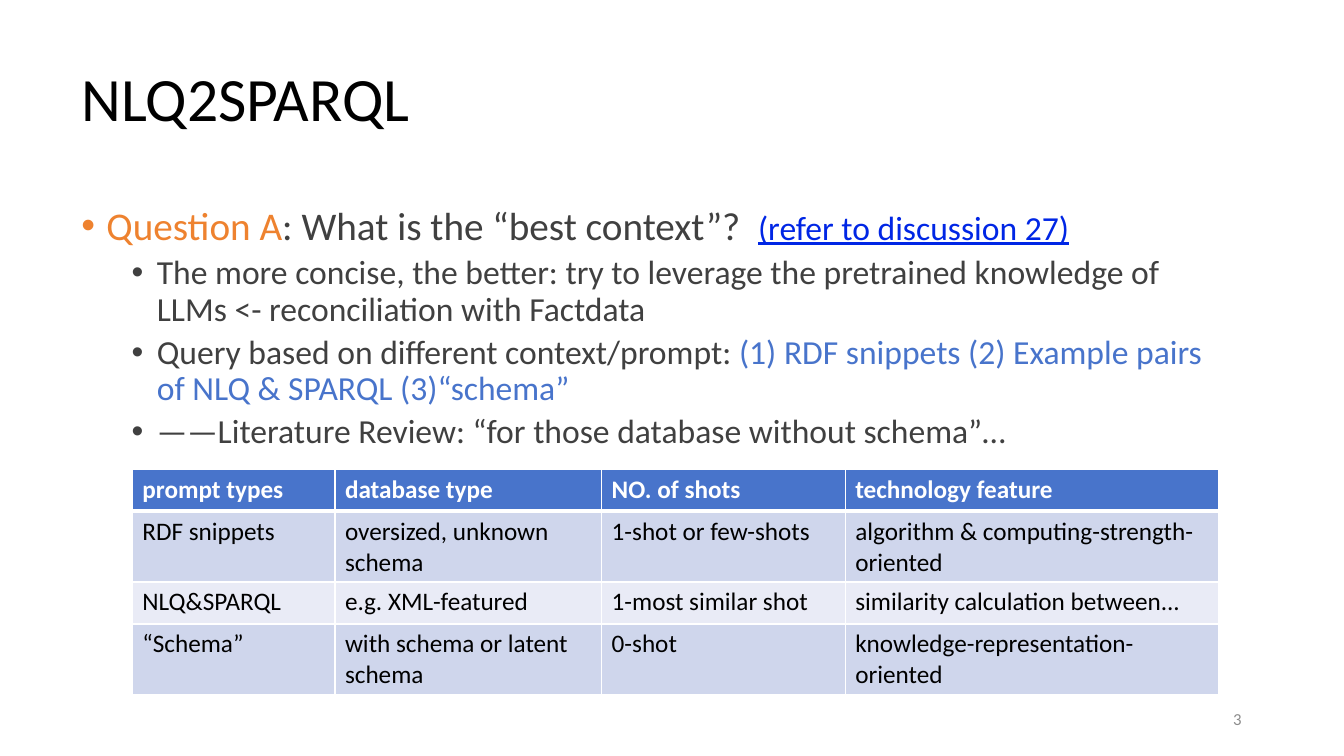
from pptx import Presentation
from pptx.dml.color import RGBColor
from pptx.enum.text import MSO_ANCHOR as Anchor, PP_ALIGN as Align
from pptx.oxml import parse_xml
from pptx.oxml.ns import nsdecls
from pptx.util import Pt

PX = 9525
BLACK, WHITE, GRAY, DARK = "000000", "FFFFFF", "8C8C8C", "404040"
ORANGE, BLUE, LINK = "EE822F", "4874CB", "0026E5"
BANDS = ["CFD6EC", "E9EBF6"]

BULLETS = [
    (0, [("Question A", 28, ORANGE), (": What is the “best context”?  ", 28, DARK),
         ("(refer to discussion 27)", 24, LINK)]),
    (1, [("The more concise, the better: try to leverage the pretrained knowledge of "
          "LLMs <- reconciliation with Factdata", 24, DARK)]),
    (1, [("Query based on different context/prompt: ", 24, DARK),
         ("(1) RDF snippets (2) Example pairs of NLQ & SPARQL (3)“schema”", 24, BLUE)]),
    (1, [("——Literature Review: “for those database without schema”…", 24, DARK)]),
]
PROMPT_TABLE = [
    ["prompt types", "database type", "NO. of shots", "technology feature"],
    ["RDF snippets", "oversized, unknown schema", "1-shot or few-shots",
     "algorithm & computing-strength-oriented"],
    ["NLQ&SPARQL", "e.g. XML-featured", "1-most similar shot",
     "similarity calculation between..."],
    ["“Schema”", "with schema or latent schema", "0-shot",
     "knowledge-representation-oriented"],
]


def color(value):
    """Turn a hex string into a colour."""
    return RGBColor.from_string(value)


class SlideBuilder:
    """Hold the style and the current slide, and add elements to it."""

    def __init__(self, slide, font_name):
        self.slide = slide
        self.font_name = font_name

    def style(self, font, size, value, bold=False):
        """Set the face, size, colour and weight of a font."""
        font.name = self.font_name
        font.size = Pt(size)
        font.bold = bold
        font.color.rgb = color(value)

    def text_frame(self, left, top, width, height, anchor):
        """Add a wrapping text box and return its frame."""
        box = self.slide.shapes.add_textbox(*(n * PX for n in (left, top, width, height)))
        frame = box.text_frame
        frame.word_wrap = True
        frame.vertical_anchor = anchor
        return frame

    def label(self, text, left, top, width, height, size, value, align=Align.LEFT):
        """Add one line of text, centred vertically."""
        paragraph = self.text_frame(left, top, width, height, Anchor.MIDDLE).paragraphs[0]
        paragraph.text = text
        paragraph.alignment = align
        paragraph.line_spacing = 0.9
        self.style(paragraph.font, size, value)

    def bullets(self, items, left, top, width, height):
        """Add a bulleted list of (level, runs) items."""
        frame = self.text_frame(left, top, width, height, Anchor.TOP)
        for index, (level, runs) in enumerate(items):
            paragraph = frame.add_paragraph() if index else frame.paragraphs[0]
            paragraph.level = level
            paragraph.line_spacing = 0.9
            paragraph.space_before = Pt(5 if level else 10)
            properties = paragraph._p.get_or_add_pPr()
            properties.set("marL", str((24 + 48 * level) * PX))
            properties.set("indent", str(-24 * PX))
            properties.append(parse_xml(f'<a:buFont {nsdecls("a")} typeface="Arial"/>'))
            properties.append(parse_xml(f'<a:buChar {nsdecls("a")} char="•"/>'))
            for text, size, value in runs:
                run = paragraph.add_run()
                run.text = text
                self.style(run.font, size, value)
                if value == LINK:
                    run.font.underline = True

    def borders(self, cell, bottom, top):
        """Draw white cell borders, with the given bottom and top widths in points."""
        properties = cell._tc.get_or_add_tcPr()
        for side, points in zip("LRTB", (1, 1, top, bottom)):
            properties.append(parse_xml(
                f'<a:ln{side} {nsdecls("a")} w="{Pt(points)}"><a:solidFill>'
                f'<a:srgbClr val="{WHITE}"/></a:solidFill></a:ln{side}>'))

    def table(self, rows, left, top, column_widths, row_height):
        """Add a table with a strong header and banded rows."""
        table = self.slide.shapes.add_table(
            len(rows), len(column_widths), left * PX, top * PX,
            sum(column_widths) * PX, len(rows) * row_height * PX).table
        table.first_row = table.horz_banding = False
        for column, width in zip(table.columns, column_widths):
            column.width = width * PX
        for row_index, texts in enumerate(rows):
            header = row_index == 0
            table.rows[row_index].height = row_height * PX
            for column_index, text in enumerate(texts):
                cell = table.cell(row_index, column_index)
                self.borders(cell, 3 if header else 1, 3 if row_index == 1 else 1)
                cell.fill.solid()
                cell.fill.fore_color.rgb = color(BLUE if header else BANDS[(row_index - 1) % 2])
                cell.text = text
                self.style(cell.text_frame.paragraphs[0].font, 18,
                           WHITE if header else BLACK, header)


def main():
    """Build the slide and save it."""
    presentation = Presentation()
    presentation.slide_width = 1280 * PX
    presentation.slide_height = 720 * PX
    slide = presentation.slides.add_slide(presentation.slide_layouts[6])
    builder = SlideBuilder(slide, "Calibri")
    builder.label("NLQ2SPARQL", 68, 27, 1104, 139, 44, BLACK)
    builder.bullets(BULLETS, 68, 192, 1104, 457)
    builder.table(PROMPT_TABLE, 126, 447, [193, 254, 232, 356], 40)
    builder.label("3", 904, 667, 288, 38, 12, GRAY, Align.RIGHT)
    presentation.save("out.pptx")


if __name__ == "__main__":
    main()
